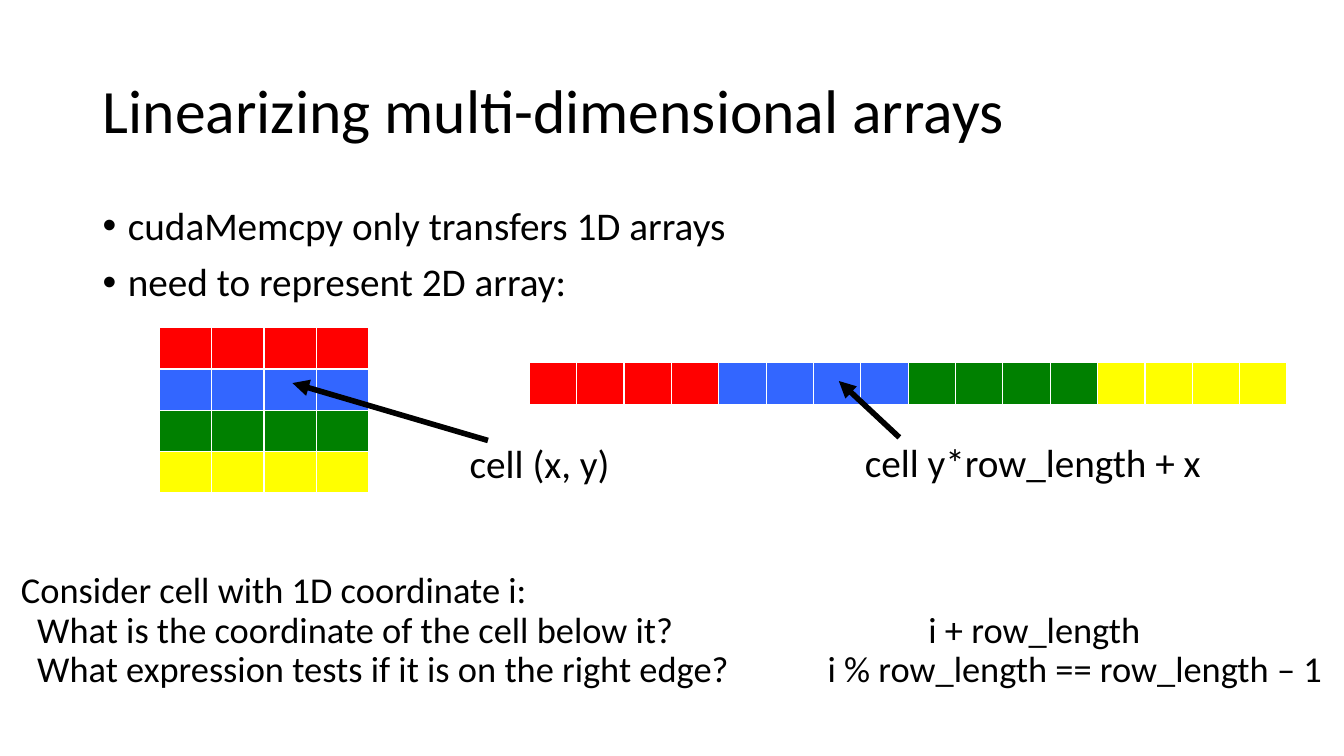
from lxml.etree import SubElement
from pptx import Presentation
from pptx.dml.color import RGBColor
from pptx.enum.shapes import MSO_CONNECTOR
from pptx.enum.text import MSO_ANCHOR, MSO_AUTO_SIZE, PP_ALIGN
from pptx.oxml.ns import qn
from pptx.util import Inches, Pt

COLORS = {"red": "FF0000", "blue": "3366FF", "green": "008000",
          "yellow": "FFFF00", "ink": "000000"}
ROWS = ["red", "blue", "green", "yellow"]
SIDE = 4
CELL_H = 0.41

TITLE = "Linearizing multi-dimensional arrays"
BULLETS = ["cudaMemcpy only transfers 1D arrays", "need to represent 2D array:"]
LABELS = [("cell (x, y)", (4.56, 4.31, 1.61, 0.57)),
          ("cell y*row_length + x", (8.48, 4.3, 3.57, 0.57))]
ARROWS = [((2.9, 3.8), (4.84, 4.37)), ((8.32, 3.78), (8.92, 4.34))]
INTRO = "Consider cell with 1D coordinate i:"
# question, answer, tab stop of the answer
QUIZ = [("What is the coordinate of the cell below it?", "i + row_length", 9),
        ("What expression tests if it is on the right edge?",
         "i % row_length == row_length – 1", 8)]
INDENT = 0.16


def color(name):
    """Return the named colour."""
    return RGBColor.from_string(COLORS[name])


def write(para, text, size):
    """Add one run of text to a paragraph."""
    run = para.add_run()
    run.text = text
    run.font.size = Pt(size)
    run.font.name = "Calibri"
    run.font.color.rgb = color("ink")


def add_box(slide, place, wrap=True):
    """Add an empty text box and return its frame."""
    frame = slide.shapes.add_textbox(*map(Inches, place)).text_frame
    frame.word_wrap = wrap
    return frame


def add_lines(frame, lines, size):
    """Write tightly spaced lines and return their paragraphs."""
    for i, line in enumerate(lines):
        para = frame.paragraphs[0] if i == 0 else frame.add_paragraph()
        para.line_spacing = 0.9
        write(para, line, size)
    return frame.paragraphs


def add_bullet(para):
    """Give a paragraph a hanging bullet."""
    para.space_before = Pt(10)
    props = para._p.get_or_add_pPr()
    props.set("marL", str(Inches(0.25)))
    props.set("indent", str(-Inches(0.25)))
    SubElement(props, qn("a:buFont"), typeface="Arial")
    SubElement(props, qn("a:buChar"), char="•")


def add_tabs(para, stops):
    """Set left tab stops, in inches."""
    tabs = SubElement(para._p.get_or_add_pPr(), qn("a:tabLst"))
    for stop in stops:
        SubElement(tabs, qn("a:tab"), pos=str(Inches(stop)), algn="l")


def add_grid(slide, left, top, width, grid):
    """Draw a table of coloured cells from rows of colour names."""
    rows, cols = len(grid), len(grid[0])
    table = slide.shapes.add_table(
        rows, cols, Inches(left), Inches(top),
        Inches(width * cols), Inches(CELL_H * rows)).table
    table.first_row = table.horz_banding = False
    for r, names in enumerate(grid):
        for c, name in enumerate(names):
            fill = table.cell(r, c).fill
            fill.solid()
            fill.fore_color.rgb = color(name)


def add_arrow(slide, tip, tail):
    """Draw a thick line with its arrowhead at the tip."""
    line = slide.shapes.add_connector(
        MSO_CONNECTOR.STRAIGHT, *map(Inches, tip + tail))
    line.line.color.rgb = color("ink")
    line.line.width = Pt(4)
    SubElement(line.line._get_or_add_ln(), qn("a:headEnd"), type="triangle")
    SubElement(line._element.spPr, qn("a:effectLst"))


deck = Presentation()
deck.slide_width, deck.slide_height = Inches(13.33), Inches(7.5)
slide = deck.slides.add_slide(deck.slide_layouts[5])

title = slide.shapes.title
title.left, title.top, title.width, title.height = map(
    Inches, (0.92, 0.4, 11.5, 1.45))
title.text_frame.vertical_anchor = MSO_ANCHOR.MIDDLE
add_lines(title.text_frame, [TITLE], 44)[0].alignment = PP_ALIGN.LEFT

for para in add_lines(add_box(slide, (0.92, 2, 11.5, 1.09)), BULLETS, 28):
    add_bullet(para)

add_grid(slide, 1.58, 3.25, 0.52, [[name] * SIDE for name in ROWS])
add_grid(slide, 5.25, 3.6, 0.47,
         [[name for name in ROWS for _ in range(SIDE)]])

for tip, tail in ARROWS:
    add_arrow(slide, tip, tail)
for text, place in LABELS:
    frame = add_box(slide, place, wrap=False)
    frame.auto_size = MSO_AUTO_SIZE.SHAPE_TO_FIT_TEXT
    write(frame.paragraphs[0], text, 28)

quiz = add_box(slide, (0.11, 5.38, 13.12, 1.77))
quiz.vertical_anchor = MSO_ANCHOR.MIDDLE
quiz.margin_right = 0
lines = [INTRO] + [f"\t{ask}\t{reply}" for ask, reply, _ in QUIZ]
paras = add_lines(quiz, lines, 26)
for para, (_, _, stop) in zip(paras[1:], QUIZ):
    add_tabs(para, (INDENT, stop))

deck.save("out.pptx")
